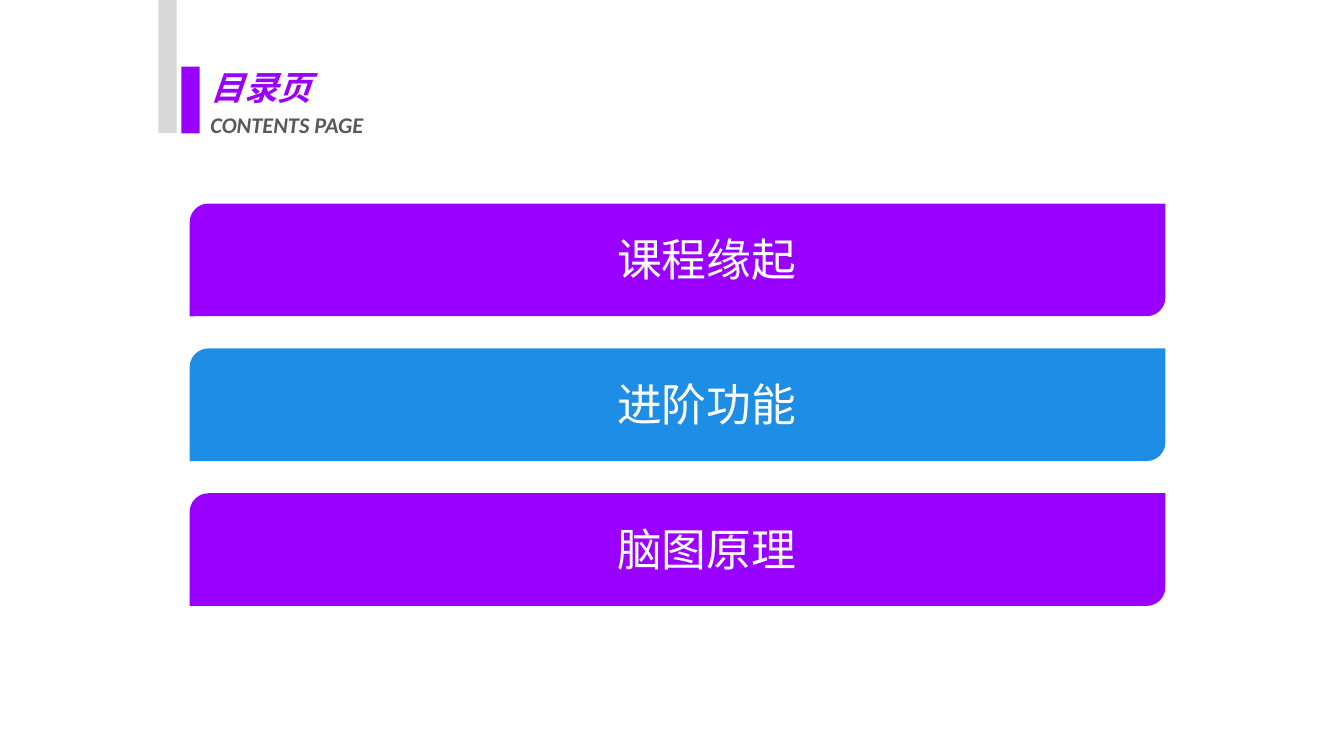
from pptx import Presentation
from pptx.dml.color import RGBColor as Rgb
from pptx.enum.shapes import MSO_SHAPE as Kind
from pptx.enum.text import MSO_ANCHOR as Anchor, MSO_AUTO_SIZE as Fit, PP_ALIGN as Align
from pptx.oxml.ns import qn
from pptx.util import Cm, Pt
from lxml.etree import SubElement

HUES = {"violet": "9900FF", "blue": "1D8DE5", "grey": "D8D8D8",
        "ink": "595959", "white": "FFFFFF"}
HAN = "Noto Sans CJK SC"
HEAD = [("目录页", 24, HAN, "violet"), ("CONTENTS PAGE", 16, "Calibri", "ink")]
BARS = [(3.99, 0, 0.46, 3.35, "grey"), (4.57, 1.68, 0.46, 1.68, "violet")]
CARDS = [("课程缘起", "violet", 5.2), ("进阶功能", "blue", 9.96), ("脑图原理", "violet", 11.9)]
LEFT, TOP, WIDE, HIGH, STEP = 4.78, 5.13, 24.59, 2.84, 3.65
MID, DROP, LINE = 17.81, 0.58, 1.6


def block(slide, kind, x, y, w, h, hue):
    shape = slide.shapes.add_shape(kind, Cm(x), Cm(y), Cm(w), Cm(h))
    shape.shadow.inherit = False
    shape.fill.solid()
    shape.fill.fore_color.rgb = Rgb.from_string(HUES[hue])
    shape.line.fill.background()


def style(para, size, face, hue, align, strong=False):
    para.alignment = align
    font = para.font
    font.size = Pt(size)
    font.bold = font.italic = strong
    font.color.rgb = Rgb.from_string(HUES[hue])
    font.name = face
    props = para._p.pPr.find(qn("a:defRPr"))
    SubElement(props, qn("a:ea")).set("typeface", face)


def main():
    deck = Presentation()
    deck.slide_width, deck.slide_height = Cm(33.87), Cm(19.05)
    slide = deck.slides.add_slide(deck.slide_layouts[5])

    for bar in BARS:
        block(slide, Kind.RECTANGLE, *bar)

    title = slide.shapes.title
    title.left, title.top, title.width, title.height = Cm(5.05), Cm(1.45), Cm(5.56), Cm(2.16)
    frame = title.text_frame
    frame.text = "\n".join(row[0] for row in HEAD)
    frame.auto_size, frame.vertical_anchor = Fit.NONE, Anchor.TOP
    for para, (_, size, face, hue) in zip(frame.paragraphs, HEAD):
        para.line_spacing = 1.12
        para.space_before = Pt(0)
        style(para, size, face, hue, Align.LEFT, True)

    for i, (text, hue, width) in enumerate(CARDS):
        y = TOP + i * STEP
        block(slide, Kind.ROUND_2_DIAG_RECTANGLE, LEFT, y, WIDE, HIGH, hue)
        box = slide.shapes.add_textbox(Cm(MID - width / 2), Cm(y + DROP), Cm(width), Cm(LINE))
        box.text_frame.word_wrap = True
        box.text_frame.text = text
        style(box.text_frame.paragraphs[0], 32, HAN, "white", Align.CENTER)

    deck.save("out.pptx")


if __name__ == "__main__":
    main()
